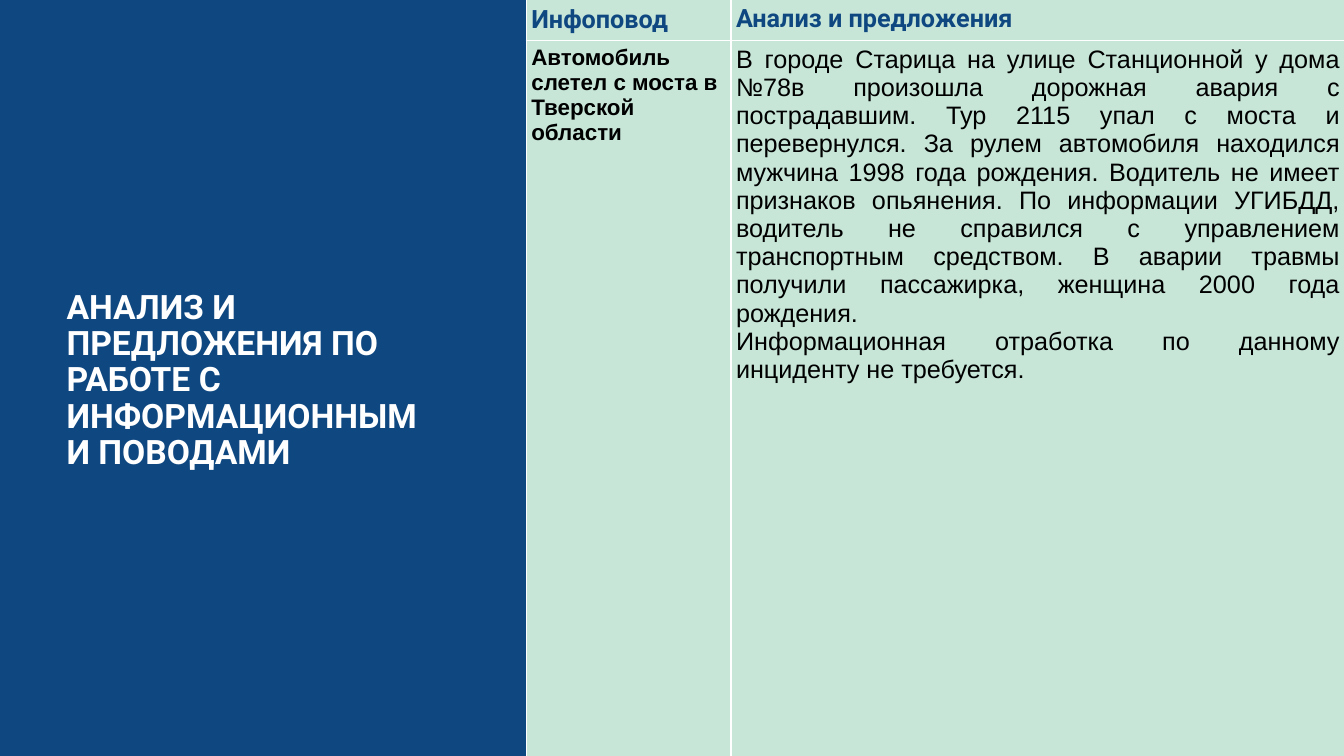
from lxml.etree import SubElement
from pptx import Presentation
from pptx.dml.color import RGBColor
from pptx.enum.shapes import MSO_SHAPE
from pptx.enum.text import MSO_ANCHOR, MSO_AUTO_SIZE, PP_ALIGN
from pptx.oxml.ns import qn
from pptx.util import Inches, Pt

COLORS = {"navy": "0F4881", "mint": "C7E6D8", "white": "FFFFFF", "black": "000000"}
LEFT, JUSTIFY = PP_ALIGN.LEFT, PP_ALIGN.JUSTIFY


def write(holder, *texts, size=18, font="Arial", color="black", bold=False,
          align=LEFT, spacing=None, anchor=MSO_ANCHOR.TOP):
    """Write one paragraph per text into a shape or a table cell."""
    holder.text_frame.text = "\n".join(texts)
    # cells and text frames share these members
    box = holder if hasattr(holder, "is_merge_origin") else holder.text_frame
    box.vertical_anchor = anchor
    box.margin_left = box.margin_right = Inches(0.05)
    box.margin_top = box.margin_bottom = Inches(0.05)
    for paragraph in holder.text_frame.paragraphs:
        paragraph.alignment = align
        paragraph.line_spacing = spacing
        for run in paragraph.runs:
            run.font.size = Pt(size)
            run.font.name = font
            run.font.bold = bold
            run.font.color.rgb = RGBColor.from_string(COLORS[color])


def add_borders(cell, color, width):
    properties = cell._tc.get_or_add_tcPr()
    for side in ("lnL", "lnR", "lnT", "lnB"):
        line = SubElement(properties, qn(f"a:{side}"), w=str(Pt(width)))
        fill = SubElement(line, qn("a:solidFill"))
        SubElement(fill, qn("a:srgbClr"), val=COLORS[color])


presentation = Presentation()
presentation.slide_width = Inches(13.33)
presentation.slide_height = Inches(7.5)
slide = presentation.slides.add_slide(presentation.slide_layouts[5])

# Left panel, placed behind the title
panel = slide.shapes.add_shape(MSO_SHAPE.RECTANGLE, 0, 0, Inches(5.22), Inches(7.5))
panel.shadow.inherit = False
panel.fill.solid()
panel.fill.fore_color.rgb = RGBColor.from_string(COLORS["navy"])
panel.line.fill.background()
slide.shapes._spTree.insert(2, panel._element)

title = slide.shapes.title
title.left, title.top = Inches(0.61), Inches(2.72)
title.width, title.height = Inches(3.65), Inches(2.12)
write(title, "АНАЛИЗ И ПРЕДЛОЖЕНИЯ ПО РАБОТЕ С ИНФОРМАЦИОННЫМИ ПОВОДАМИ",
      size=24, font="Roboto", color="white", bold=True, spacing=0.9,
      anchor=MSO_ANCHOR.MIDDLE)
title.text_frame.word_wrap = True
title.text_frame.auto_size = MSO_AUTO_SIZE.NONE

# Table of news events
table = slide.shapes.add_table(2, 2, Inches(5.22), Inches(-0.01),
                               Inches(8.11), Inches(7.52)).table
for column, width in zip(table.columns, (2.03, 6.09)):
    column.width = Inches(width)
for row, height in zip(table.rows, (0.41, 7.11)):
    row.height = Inches(height)
for cell in table.iter_cells():
    add_borders(cell, "white", 0.96)
    cell.fill.solid()
    cell.fill.fore_color.rgb = RGBColor.from_string(COLORS["mint"])

heading = {"font": "Roboto", "color": "navy", "bold": True}
write(table.cell(0, 0), "Инфоповод", anchor=MSO_ANCHOR.MIDDLE, **heading)
write(table.cell(0, 1), "Анализ и предложения", align=JUSTIFY, **heading)
write(table.cell(1, 0), "Автомобиль слетел с моста в Тверской области", size=16, bold=True)
write(table.cell(1, 1),
      "В городе Старица на улице Станционной у дома №78в произошла дорожная авария "
      "с пострадавшим. Тур 2115 упал с моста и перевернулся. За рулем автомобиля "
      "находился мужчина 1998 года рождения. Водитель не имеет признаков "
      "опьянения. По информации УГИБДД, водитель не справился с управлением "
      "транспортным средством. В аварии травмы получили пассажирка, женщина "
      "2000 года рождения.",
      "Информационная отработка по данному инциденту не требуется.",
      align=JUSTIFY)

presentation.save("out.pptx")
